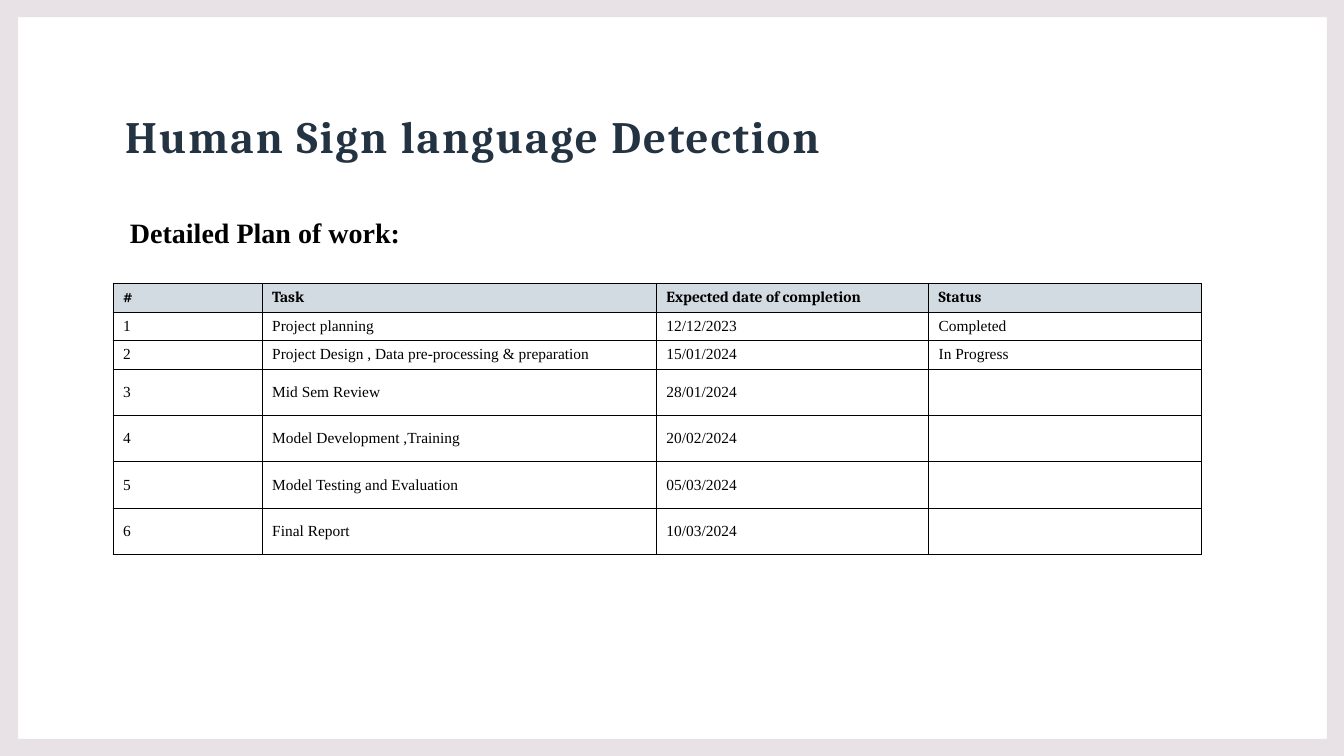
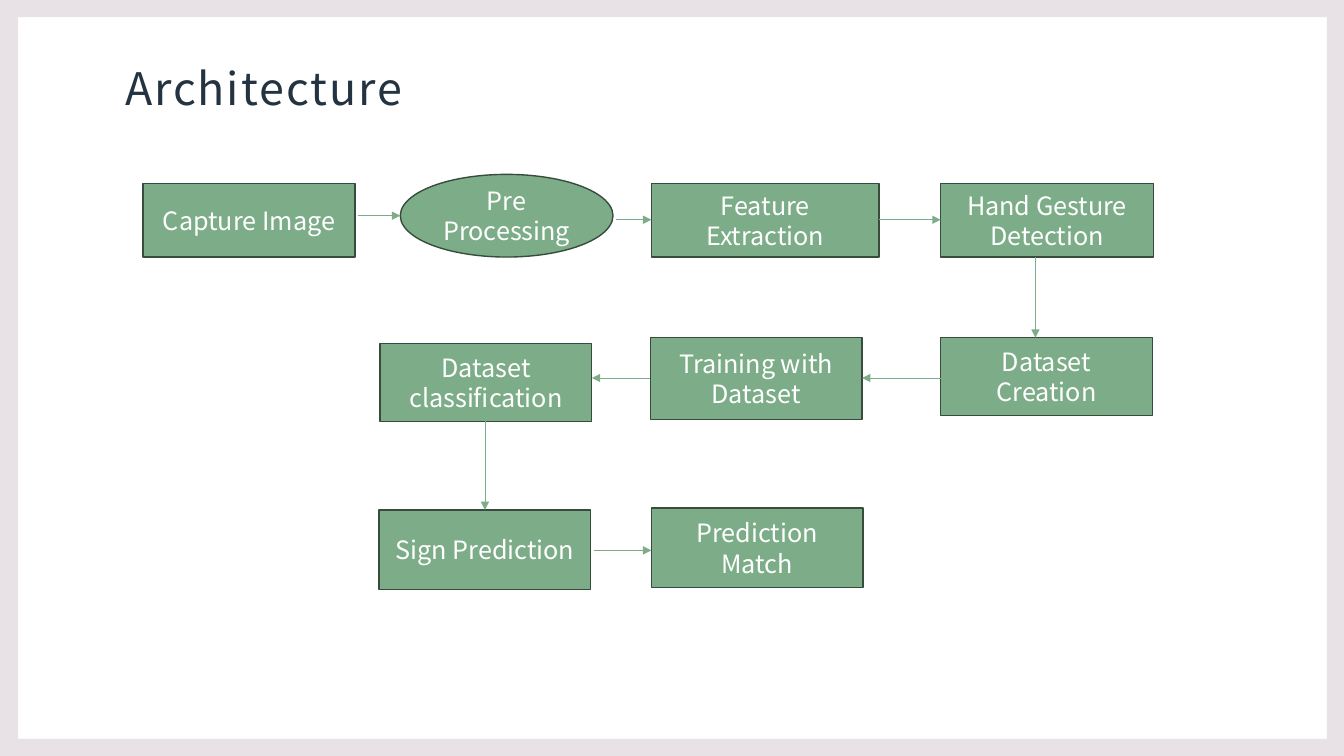
from lxml import etree
from pptx import Presentation
from pptx.dml.color import RGBColor
from pptx.enum.shapes import MSO_CONNECTOR, MSO_SHAPE
from pptx.enum.text import MSO_ANCHOR, PP_ALIGN
from pptx.oxml.ns import qn
from pptx.util import Emu, Pt

RECT, OVAL = MSO_SHAPE.RECTANGLE, MSO_SHAPE.OVAL
LINE = MSO_CONNECTOR.STRAIGHT
TOP, MID, BASE = MSO_ANCHOR.TOP, MSO_ANCHOR.MIDDLE, MSO_ANCHOR.BOTTOM
LEFT, MIDST = PP_ALIGN.LEFT, PP_ALIGN.CENTER

SCALE = 9144
WIDE, HIGH = 1333, 750
SANS, SERIF, TIMES = "Noto Sans CJK JP", "Cambria", "Times New Roman"
COLORS = {
    "frame": "E8E2E7", "title": "243341", "ink": "000000", "head": "D3DBE2",
    "page": "FFFFFF", "node": "7DAD88", "edge": "374C3C",
}

COLS = [148, 391, 270, 270]
ROWS = [27, 27, 27, 46, 46, 46, 46]
TASKS = [
    ("#", "Task", "Expected date of completion", "Status"),
    ("1", "Project planning", "12/12/2023", "Completed"),
    ("2", "Project Design , Data pre-processing & preparation", "15/01/2024", "In Progress"),
    ("3", "Mid Sem Review", "28/01/2024", ""),
    ("4", "Model Development ,Training", "20/02/2024", ""),
    ("5", "Model Testing and Evaluation", "05/03/2024", ""),
    ("6", "Final Report", "10/03/2024", ""),
]

NODES = {
    "Capture Image": (RECT, 0, 9, 210, 73),
    "Pre Processing": (OVAL, 255, 0, 211, 82),
    "Feature Extraction": (RECT, 504, 9, 226, 73),
    "Hand Gesture Detection": (RECT, 791, 9, 211, 73),
    "Dataset Creation": (RECT, 791, 162, 210, 77),
    "Training with Dataset": (RECT, 503, 162, 210, 81),
    "Dataset classification": (RECT, 235, 168, 210, 77),
    "Sign Prediction": (RECT, 234, 333, 210, 79),
    "Prediction Match": (RECT, 504, 331, 210, 79),
}
LINKS = [
    ("right", 41, 3), ("right", 45, 3), ("right", 45, 0), ("down", 885, 0),
    ("left", 202, 0), ("left", 202, 0), ("down", 339, 0), ("right", 373, 3),
]


def px(*nums):
    """Turn px lengths into EMU."""
    return [Emu(num * SCALE) for num in nums]


def tint(name):
    """Look up a colour by name."""
    return RGBColor.from_string(COLORS[name])


def paint(item, name):
    """Give a shape or cell a solid fill."""
    item.fill.solid()
    item.fill.fore_color.rgb = tint(name)


def write(frame, text, size=18, font=SANS, color="ink", bold=False,
          align=LEFT, space=None, track=0):
    """Set the text of a frame with one format."""
    para = frame.paragraphs[0]
    para.alignment = align
    para.line_spacing = space
    run = para.add_run()
    run.text = text
    run.font.size = Pt(size)
    run.font.name = font
    run.font.bold = bold
    run.font.color.rgb = tint(color)
    props = run.font._element if hasattr(run.font, "_element") else run._r.get_or_add_rPr()
    for tag in ("a:ea", "a:cs"):
        etree.SubElement(props, qn(tag)).set("typeface", font)
    if track:
        props.set("spc", str(track))


def label(slide, box, text, pads=(10, 5, 10, 5), anchor=TOP, **form):
    """Place a text box."""
    frame = slide.shapes.add_textbox(*px(*box)).text_frame
    frame.word_wrap = True
    frame.vertical_anchor = anchor
    (frame.margin_left, frame.margin_top,
     frame.margin_right, frame.margin_bottom) = px(*pads)
    write(frame, text, **form)


def page(deck, box, text, **form):
    """Add a slide with the shared frame and title."""
    slide = deck.slides.add_slide(deck.slide_layouts[6])
    pen = slide.shapes.build_freeform(0, 0, scale=SCALE)
    pen.add_line_segments([(WIDE, 0), (WIDE, HIGH), (0, HIGH)])
    pen.move_to(18, 17)
    pen.add_line_segments([(18, 733), (1316, 733), (1316, 17)])
    rim = pen.convert_to_shape()
    rim.shadow.inherit = False
    paint(rim, "frame")
    rim.line.fill.background()
    label(slide, box, text, pads=(12, 12, 12, 10), anchor=BASE, size=32,
          color="title", space=1.13, track=140, **form)
    return slide


def rule(cell):
    """Draw thin borders round a cell."""
    props = cell._tc.get_or_add_tcPr()
    for spot, side in enumerate(("a:lnL", "a:lnR", "a:lnT", "a:lnB")):
        line = etree.Element(qn(side), w=str(Pt(0.5)))
        fill = etree.SubElement(line, qn("a:solidFill"))
        etree.SubElement(fill, qn("a:srgbClr")).set("val", COLORS["ink"])
        props.insert(spot, line)


def plan(slide, box):
    """Place the table of tasks."""
    table = slide.shapes.add_table(len(ROWS), len(COLS), *px(*box)).table
    for col, width in zip(table.columns, px(*COLS)):
        col.width = width
    for row, height, texts in zip(table.rows, px(*ROWS), TASKS):
        row.height = height
        head = texts is TASKS[0]
        for cell, text in zip(row.cells, texts):
            cell.vertical_anchor = MID
            paint(cell, "head" if head else "page")
            rule(cell)
            if text:
                write(cell.text_frame, text, size=11, bold=head,
                      font=SERIF if head else TIMES)


def node(slide, kind, box, text):
    """Place one step of the flow."""
    shape = slide.shapes.add_shape(kind, *px(*box))
    shape.shadow.inherit = False
    paint(shape, "node")
    shape.line.color.rgb = tint("edge")
    shape.line.width = Pt(1)
    shape.text_frame.word_wrap = True
    shape.text_frame.vertical_anchor = MID
    write(shape.text_frame, text, color="page", align=MIDST)


def arrow(slide, ends):
    """Draw a thin arrow between two points."""
    link = slide.shapes.add_connector(LINE, *px(*ends))
    link.line.color.rgb = tint("node")
    link.line.width = Pt(0.5)
    props = link._element.spPr
    etree.SubElement(props.find(qn("a:ln")), qn("a:tailEnd")).set("type", "triangle")
    etree.SubElement(props, qn("a:effectLst"))


def flow(slide, box):
    """Place the steps and join each to the next."""
    left, top = box
    spots = []
    for text, (kind, x, y, wide, high) in NODES.items():
        spot = (left + x, top + y, wide, high)
        node(slide, kind, spot, text)
        spots.append(spot)
    for one, two, (way, at, gap) in zip(spots, spots[1:], LINKS):
        if way == "down":
            ends = (left + at, one[1] + one[3], left + at, two[1])
        elif way == "right":
            ends = (one[0] + one[2] + gap, top + at, two[0], top + at)
        else:
            ends = (one[0], top + at, two[0] + two[2], top + at)
        arrow(slide, ends)


def main():
    """Build and save the deck."""
    deck = Presentation()
    deck.slide_width, deck.slide_height = px(WIDE, HIGH)
    slide = page(deck, (112, 79, 1108, 92), "Human Sign language Detection",
                 font=SERIF, bold=True)
    plan(slide, (112, 281, sum(COLS), sum(ROWS)))
    label(slide, (119, 209, 1059, 42), "Detailed Plan of work:", size=20,
          font=TIMES, bold=True)
    slide = page(deck, (112, 79, 1108, 45), "Architecture")
    flow(slide, (142, 173))
    deck.save("out.pptx")


if __name__ == "__main__":
    main()
